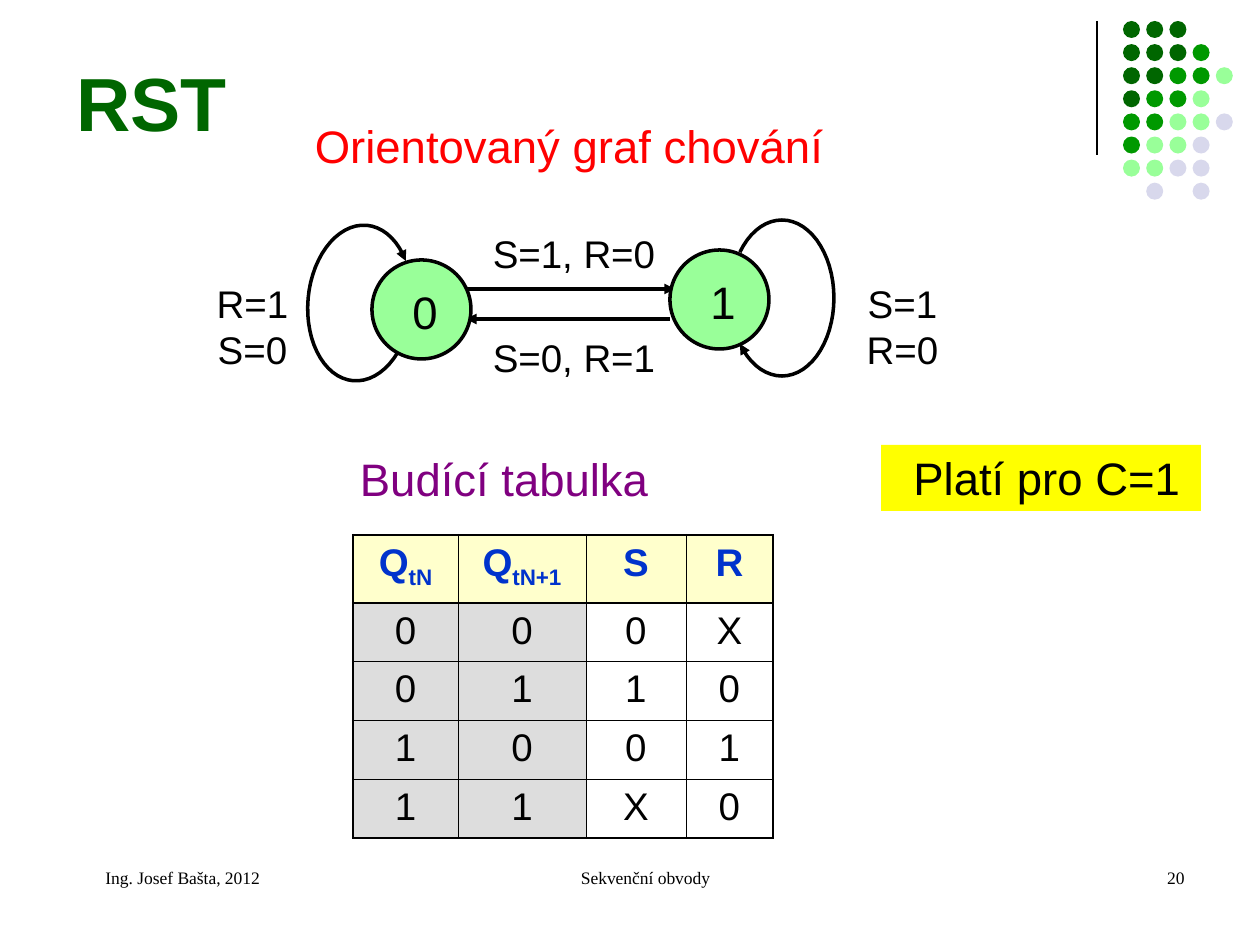
import math

from lxml import etree
from pptx import Presentation
from pptx import util as u
from pptx.dml.color import RGBColor
from pptx.enum import shapes, text as t
from pptx.oxml.ns import qn

PX = 914400 / 126
COLORS = {
    "black": "000000", "dark": "006600", "green": "009900", "light": "99FF99",
    "pale": "D8D8EC", "red": "FF0000", "purple": "800080", "yellow": "FFFF00",
    "blue": "0033CC", "cream": "FFFFCC", "gray": "DDDDDD",
}
ALIGN = {"l": t.PP_ALIGN.LEFT, "c": t.PP_ALIGN.CENTER, "r": t.PP_ALIGN.RIGHT}


def px(*values):
    return [u.Emu(round(value * PX)) for value in values]


def rgb(name):
    return RGBColor.from_string(COLORS[name])


def write(frame, content, size=26, color="black", font="Arial", bold=False,
          align="c", indent=0):
    """Fill a frame; newlines break the line and "_" starts a subscript."""
    paragraph = frame.paragraphs[0]
    paragraph.alignment = ALIGN[align]
    properties = paragraph._p.get_or_add_pPr()
    properties.set("marL", str(px(indent)[0]))
    properties.set("indent", "0")
    for number, line in enumerate(content.split("\n")):
        if number:
            paragraph.add_line_break()
        for level, part in enumerate(line.split("_")):
            run = paragraph.add_run()
            run.text = part
            run.font.size = u.Pt(size)
            run.font.name = font
            run.font.bold = bold
            run.font.color.rgb = rgb(color)
            if level:
                run._r.get_or_add_rPr().set("baseline", "-25000")


class Painter:
    line_width = 2

    def __init__(self, slide):
        self.slide = slide

    def outline(self, shape, width=line_width, arrow=False):
        shape.line.color.rgb = rgb("black")
        shape.line.width = u.Pt(width)
        if arrow:
            line = shape._element.spPr.find(qn("a:ln"))
            etree.SubElement(line, qn("a:tailEnd"), type="triangle")

    def title(self, content, box):
        title = self.slide.shapes.title
        title.left, title.top, title.width, title.height = px(*box)
        title.text_frame.vertical_anchor = t.MSO_ANCHOR.BOTTOM
        title.text_frame.auto_size = t.MSO_AUTO_SIZE.NONE
        write(title.text_frame, content, 43, "dark", bold=True, align="l")

    def shape(self, kind, box, fill, outlined=False):
        shape = self.slide.shapes.add_shape(kind, *px(*box))
        shape.shadow.inherit = False
        shape.fill.solid()
        shape.fill.fore_color.rgb = rgb(fill)
        if outlined:
            self.outline(shape)
        else:
            shape.line.fill.background()
        return shape

    def label(self, content, box, shape=None, **style):
        shape = shape or self.slide.shapes.add_textbox(*px(*box))
        frame = shape.text_frame
        frame.word_wrap = True
        frame.vertical_anchor = t.MSO_ANCHOR.TOP
        frame.margin_left = frame.margin_right = 0
        frame.margin_top, frame.margin_bottom = px(5, 6)
        write(frame, content, indent=12, **style)

    def footer(self, content, box, align):
        frame = self.slide.shapes.add_textbox(*px(*box)).text_frame
        frame.word_wrap = True
        write(frame, content, 10, font="Times New Roman", align=align, indent=30)

    def line(self, start, end, width=line_width, arrow=False):
        connector = self.slide.shapes.add_connector(
            shapes.MSO_CONNECTOR.STRAIGHT, *px(*start, *end))
        self.outline(connector, width, arrow)
        etree.SubElement(connector._element.spPr, qn("a:effectLst"))

    def loop(self, center, tilt):
        """Open ellipse, with its gap on the side that tilt points to."""
        turn = math.radians(tilt)
        points = []
        for degrees in range(36, 325, 6):
            angle = math.radians(degrees)
            x, y = 52 * math.cos(angle), 78 * math.sin(angle)
            points.append(px(center[0] + x * math.cos(turn) - y * math.sin(turn),
                             center[1] + x * math.sin(turn) + y * math.cos(turn)))
        builder = self.slide.shapes.build_freeform(*points[0])
        builder.add_line_segments(points[1:], close=False)
        shape = builder.convert_to_shape()
        shape.shadow.inherit = False
        shape.fill.background()
        self.outline(shape, arrow=True)

    def table(self, rows, left, top, widths, heights):
        frame = self.slide.shapes.add_table(
            len(rows), len(widths), *px(left, top, sum(widths), sum(heights)))
        table = frame.table
        table.first_row = table.horz_banding = False
        for column, width in zip(table.columns, px(*widths)):
            column.width = width
        for row, height in zip(table.rows, px(*heights)):
            row.height = height
        last_row, last_column = len(rows) - 1, len(widths) - 1
        for r, values in enumerate(rows):
            for c, value in enumerate(values):
                cell = table.cell(r, c)
                self.borders(cell, {"L": c == 0, "R": c == last_column,
                                    "T": r <= 1, "B": r in (0, last_row)})
                if r and c > 1:
                    cell.fill.background()
                else:
                    cell.fill.solid()
                    cell.fill.fore_color.rgb = rgb("gray" if r else "cream")
                write(cell.text_frame, value, 22,
                      "black" if r else "blue", bold=r == 0)

    def borders(self, cell, heavy_sides):
        properties = cell._tc.get_or_add_tcPr()
        for side, heavy in heavy_sides.items():
            line = etree.SubElement(properties, qn("a:ln" + side),
                                    w=str(u.Pt(1.47 if heavy else 0.45)))
            fill = etree.SubElement(line, qn("a:solidFill"))
            etree.SubElement(fill, qn("a:srgbClr"), val=COLORS["black"])


def main():
    presentation = Presentation()
    presentation.slide_width, presentation.slide_height = px(1260, 945)
    painter = Painter(presentation.slides.add_slide(presentation.slide_layouts[5]))
    oval = shapes.MSO_SHAPE.OVAL

    # Corner decoration
    painter.line((1097, 21), (1097, 155), width=0.75)
    tones = {"d": "dark", "g": "green", "l": "light", "p": "pale"}
    dots = ["ddd", "dddg", "ddggl", "dggl", "ggllp", "gllp", "llpp", ".p.p"]
    for row, pattern in enumerate(dots):
        for column, tone in enumerate(pattern):
            if tone in tones:
                box = (1123 + column * 23.2, 21 + row * 23.1, 17, 17)
                painter.shape(oval, box, tones[tone])

    # Headings
    painter.title("RST", (64, 45, 1040, 108))
    painter.label("Orientovaný graf chování", (273, 113, 581, 66), color="red")
    painter.label("Budící tabulka", (348, 446, 392, 66), color="purple", align="l")

    # State graph
    painter.line((466, 289), (675, 289), arrow=True)
    painter.line((670, 319), (466, 319), arrow=True)
    painter.loop((360, 303), tilt=5)
    painter.loop((782, 298), tilt=180)
    for state, left, top in (("0", 372, 260), ("1", 670, 250)):
        painter.shape(oval, (left, top, 99, 99), "light", outlined=True)
        painter.label(state, (left + 5, top + 19, 84, 66))
    for condition, box in (
        ("R=1\nS=0", (189, 275, 115, 103)),
        ("S=1\nR=0", (839, 275, 115, 103)),
        ("S=1, R=0", (471, 225, 194, 58)),
        ("S=0, R=1", (471, 329, 194, 58)),
    ):
        painter.label(condition, box, size=22)

    # Excitation table
    rows = [("Q_tN", "Q_tN+1", "S", "R"), "000X", "0110", "1001", "11X0"]
    painter.table(rows, 353, 535, (105, 128, 100, 87), (68, 58, 58, 58, 58))

    # Note
    note_box = (881, 445, 320, 66)
    note = painter.shape(shapes.MSO_SHAPE.RECTANGLE, note_box, "yellow")
    painter.label("Platí pro C=1", note_box, shape=note)

    # Footer
    painter.footer("Ing. Josef Bašta, 2012", (63, 861, 294, 63), "l")
    painter.footer("Sekvenční obvody", (431, 861, 399, 63), "c")
    painter.footer("20", (903, 861, 294, 63), "r")

    presentation.save("out.pptx")


if __name__ == "__main__":
    main()
